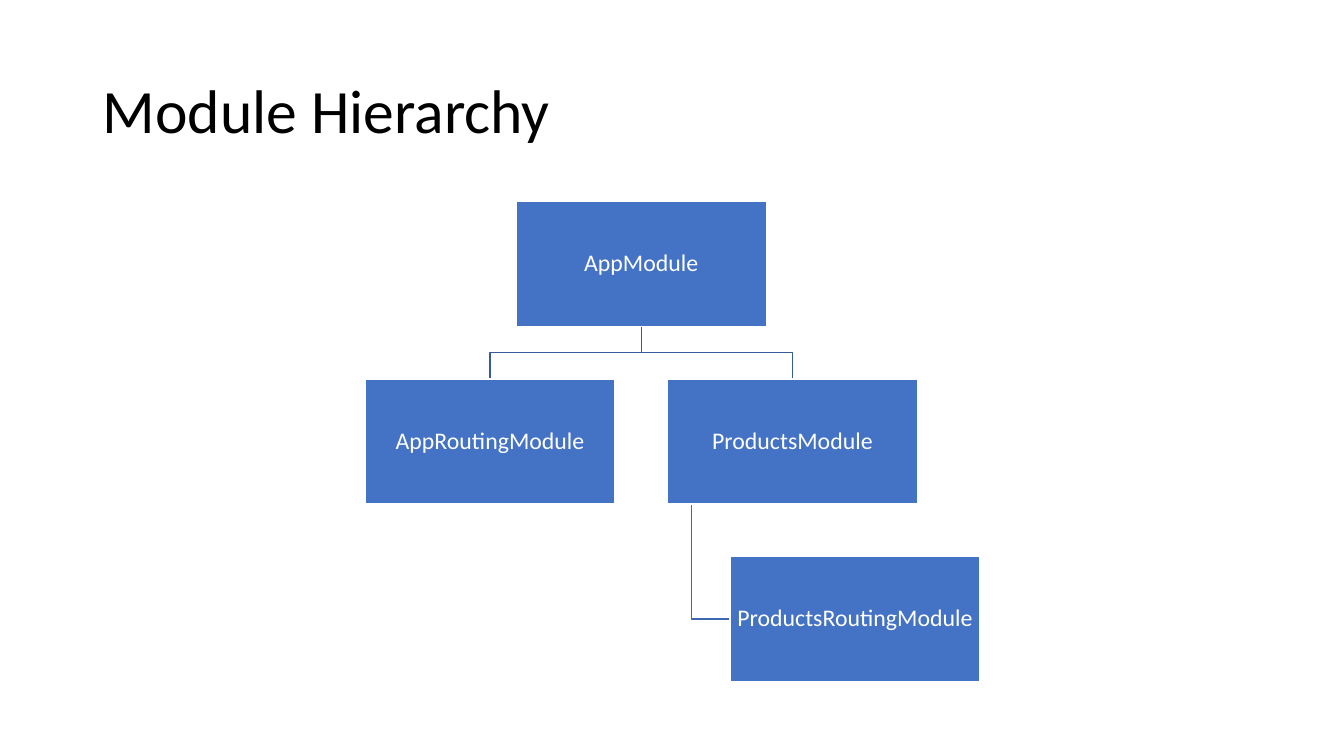
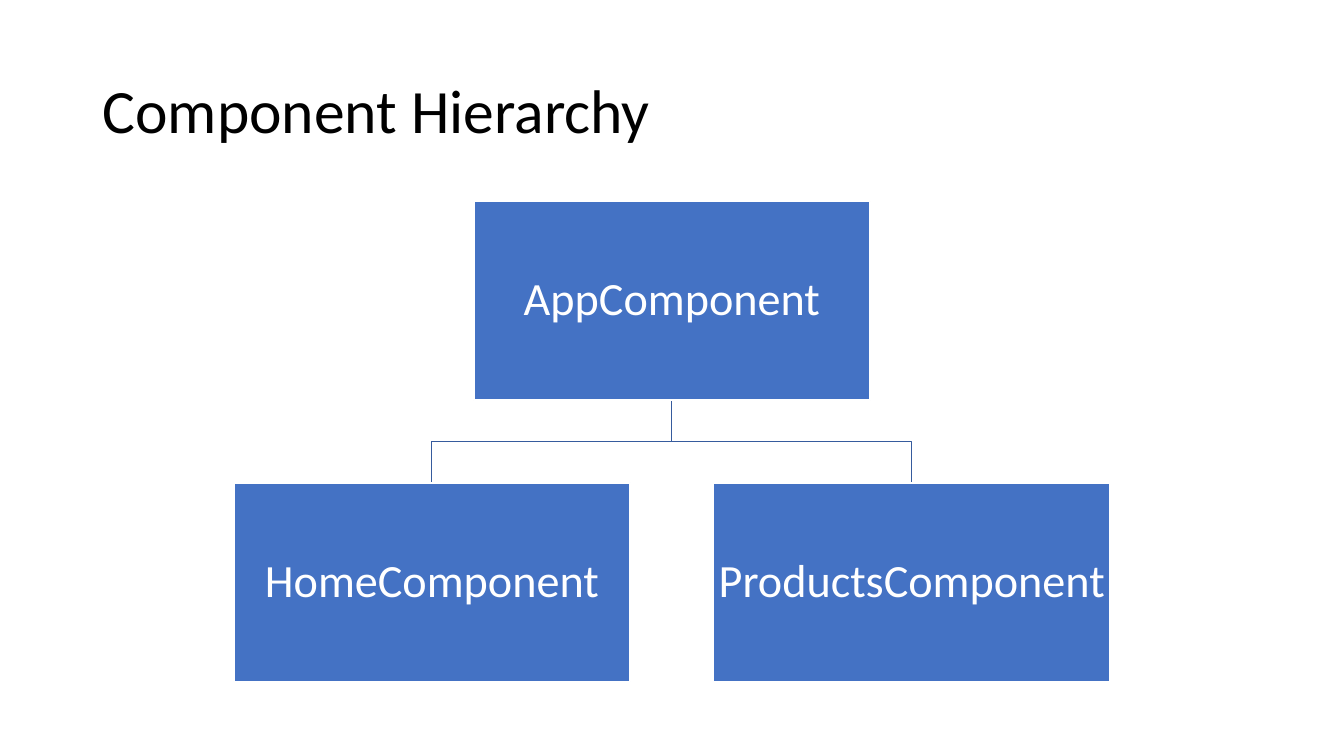
from pptx import Presentation
from pptx.dml.color import RGBColor
from pptx.enum.shapes import MSO_SHAPE
from pptx.enum.text import MSO_ANCHOR, PP_ALIGN
from pptx.util import Pt

PX = 9144
RECTANGLE = MSO_SHAPE.RECTANGLE
MIDDLE = MSO_ANCHOR.MIDDLE
LEFT, CENTER = PP_ALIGN.LEFT, PP_ALIGN.CENTER
FONT = "Calibri"
COLORS = {
    "title": "000000",
    "module": "4472C4",
    "module_text": "FFFFFF",
    "branch": "365B9D",
    "hanging": "3E67B2",
}

HIERARCHIES = [
    {
        "title": "Module Hierarchy",
        "root": (512, 200), "size": (248, 124), "step": (300, 176),
        "font_size": 17, "inset": 1,
        "nodes": [
            ("AppModule", None, 0, "root"),
            ("AppRoutingModule", "AppModule", -0.5, "branch"),
            ("ProductsModule", "AppModule", 0.5, "branch"),
            ("ProductsRoutingModule", "ProductsModule", 0, "hanging"),
        ],
    },
    {
        "title": "Component Hierarchy",
        "root": (470, 200), "size": (393, 197), "step": (476, 279),
        "font_size": 33, "inset": 2,
        "nodes": [
            ("AppComponent", None, 0, "root"),
            ("HomeComponent", "AppComponent", -0.5, "branch"),
            ("ProductsComponent", "AppComponent", 0.5, "branch"),
        ],
    },
]


def color(name):
    return RGBColor.from_string(COLORS[name])


def write(frame, text, size, color_name, align):
    frame.word_wrap = True
    frame.vertical_anchor = MIDDLE
    paragraph = frame.paragraphs[0]
    paragraph.text = text
    paragraph.alignment = align
    paragraph.line_spacing = 0.9
    paragraph.font.name = FONT
    paragraph.font.size = Pt(size)
    paragraph.font.color.rgb = color(color_name)


deck = Presentation()
deck.slide_width, deck.slide_height = 1333 * PX, 750 * PX
blank = deck.slide_layouts[6]

for hierarchy in HIERARCHIES:
    slide = deck.slides.add_slide(blank)
    title = slide.shapes.add_textbox(92 * PX, 40 * PX, 1150 * PX, 145 * PX)
    write(title.text_frame, hierarchy["title"], 44, "title", LEFT)

    width, height = hierarchy["size"]
    step_x, step_y = hierarchy["step"]
    places = {}
    for name, parent, column, relation in hierarchy["nodes"]:
        if parent is None:
            places[name] = hierarchy["root"]
            continue
        parent_left, parent_top = places[parent]
        indent = width // 4 if relation == "hanging" else 0
        left = parent_left + round(column * step_x) + indent
        top = parent_top + step_y
        places[name] = left, top

        parent_bottom = parent_top + height
        if relation == "hanging":
            trunk = parent_left + width // 10
            center = top + height // 2
            route = [(trunk, parent_bottom), (trunk, center), (left, center)]
        else:
            trunk = parent_left + width // 2
            center = left + width // 2
            bend = (parent_bottom + top) // 2
            route = [(trunk, parent_bottom), (trunk, bend), (center, bend), (center, top)]
        builder = slide.shapes.build_freeform(*route[0], scale=PX)
        builder.add_line_segments(route[1:], close=False)
        link = builder.convert_to_shape()
        link.shadow.inherit = False
        link.fill.background()
        link.line.color.rgb = color(relation)
        link.line.width = Pt(1)

    for name, (left, top) in places.items():
        node = slide.shapes.add_shape(RECTANGLE, left * PX, top * PX, width * PX, height * PX)
        node.shadow.inherit = False
        node.fill.solid()
        node.fill.fore_color.rgb = color("module")
        node.line.color.rgb = color("module_text")
        node.line.width = Pt(1)
        frame = node.text_frame
        frame.margin_left = frame.margin_right = hierarchy["inset"] * PX
        frame.margin_top = frame.margin_bottom = hierarchy["inset"] * PX
        write(frame, name, hierarchy["font_size"], "module_text", CENTER)

deck.save("out.pptx")
